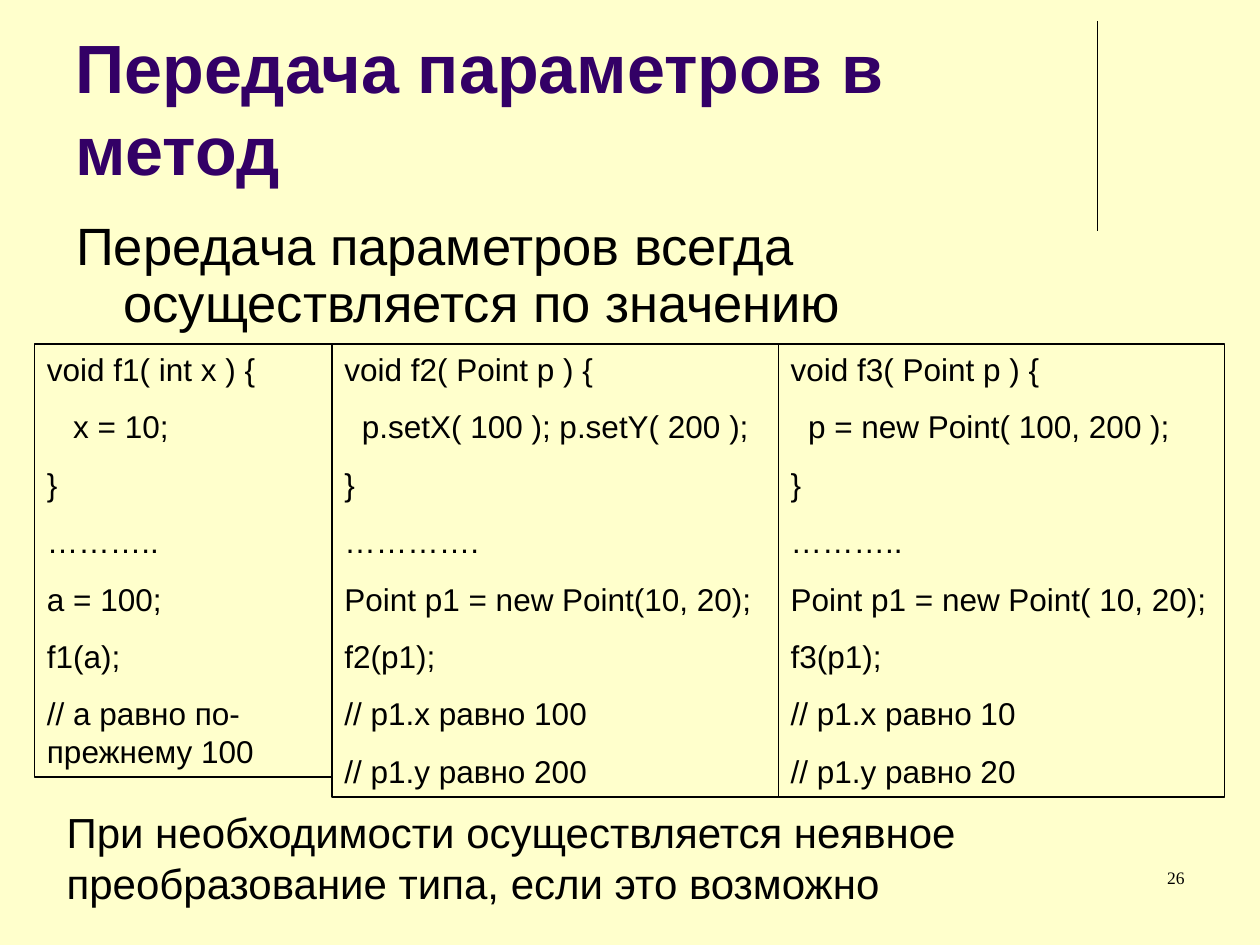
from pptx import Presentation
from pptx import util as u
from pptx.dml.color import RGBColor
from pptx.enum import shapes, text
from pptx.oxml.ns import qn
from lxml import etree

Pt = u.Pt
COLORS = {"background": "FFFFCC", "title": "330066", "ink": "000000"}


def color(name):
    return RGBColor.from_string(COLORS[name])


def write(box, lines, size, font="Arial", ink="ink", bold=False, before=0,
          spacing=None, hanging=0, align=text.PP_ALIGN.LEFT,
          anchor=text.MSO_ANCHOR.TOP):
    frame = box.text_frame
    frame.word_wrap = True
    frame.vertical_anchor = anchor
    for i, line in enumerate(lines):
        par = frame.add_paragraph() if i else frame.paragraphs[0]
        par.text = line
        par.alignment = align
        if i:
            par.space_before = Pt(before)
        if spacing:
            par.line_spacing = spacing
        if hanging:
            props = par._p.get_or_add_pPr()
            props.set("marL", str(Pt(hanging)))
            props.set("indent", str(-Pt(hanging)))
        par.font.size = Pt(size)
        par.font.name = font
        par.font.bold = bold
        par.font.color.rgb = color(ink)


prs = Presentation()
prs.slide_width, prs.slide_height = Pt(720), Pt(540)
slide = prs.slides.add_slide(prs.slide_layouts[6])
slide.background.fill.solid()
slide.background.fill.fore_color.rgb = color("background")

# Vertical rule beside the title
rule = slide.shapes.add_connector(shapes.MSO_CONNECTOR.STRAIGHT,
                                  Pt(627), Pt(12), Pt(627), Pt(132))
rule.line.color.rgb = color("ink")
rule.line.width = Pt(0.75)
etree.SubElement(rule._element.spPr, qn("a:effectLst"))

# Title
title = slide.shapes.add_textbox(Pt(36), Pt(9.5), Pt(594), Pt(102))
write(title, ["Передача параметров в метод"], 39, ink="title", bold=True,
      anchor=text.MSO_ANCHOR.BOTTOM)

# Main statement
statement = slide.shapes.add_textbox(Pt(36.5), Pt(122.5), Pt(648), Pt(78))
write(statement, ["Передача параметров всегда осуществляется по значению"],
      30, spacing=0.9, hanging=27)

# Code examples, side by side: width, height, lines
examples = [
    (170, 247.5, ["void f1( int x ) {", "   x = 10;", "}", "………..",
                  "a = 100;", "f1(a);", "// a равно по-прежнему 100"]),
    (255, 259, ["void f2( Point p ) {", "  p.setX( 100 ); p.setY( 200 );",
                "}", "………….", "Point p1 = new Point(10, 20);", "f2(p1);",
                "// p1.x равно 100", "// p1.y равно 200"]),
    (255, 259, ["void f3( Point p ) {", "  p = new Point( 100, 200 );",
                "}", "………..", "Point p1 = new Point( 10, 20);", "f3(p1);",
                "// p1.x равно 10", "// p1.y равно 20"]),
]
left = 19.75
for width, height, code in examples:
    example = slide.shapes.add_shape(shapes.MSO_SHAPE.RECTANGLE, Pt(left),
                                     Pt(196.5), Pt(width), Pt(height))
    example.shadow.inherit = False
    example.fill.background()
    example.line.color.rgb = color("ink")
    example.line.width = Pt(0.75)
    write(example, code, 18, before=11.2)
    left += width

# Closing remark
remark = slide.shapes.add_textbox(Pt(31), Pt(457.5), Pt(618), Pt(65))
write(remark, ["При необходимости осуществляется неявное преобразование "
               "типа, если это возможно"], 24)

# Slide number
number = slide.shapes.add_textbox(Pt(516), Pt(492), Pt(168), Pt(36))
write(number, ["26"], 10, font="Times New Roman", align=text.PP_ALIGN.RIGHT)

prs.save("out.pptx")
